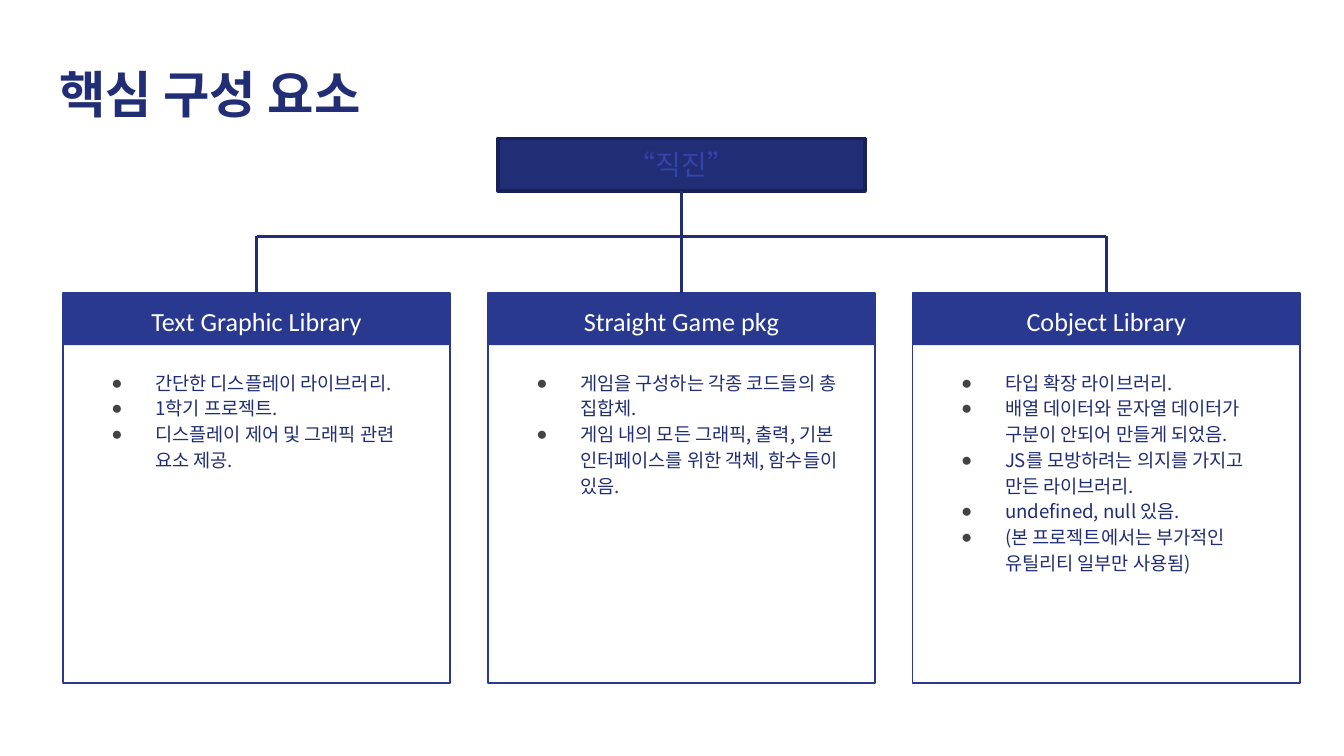
"""Build the slide of a project's three core components as a tree."""
from dataclasses import dataclass

from lxml.etree import SubElement
from pptx import Presentation
from pptx.dml.color import RGBColor
from pptx.enum.shapes import MSO_CONNECTOR, MSO_SHAPE
from pptx.enum.text import MSO_ANCHOR, MSO_AUTO_SIZE, PP_ALIGN
from pptx.oxml import parse_xml
from pptx.oxml.ns import nsdecls, qn
from pptx.shapes.autoshape import Shape
from pptx.shapes.connector import Connector
from pptx.slide import Slide
from pptx.text.text import TextFrame, _Paragraph
from pptx.util import Pt

NAVY = RGBColor(0x21, 0x2D, 0x74)
DARK_NAVY = RGBColor(0x18, 0x21, 0x56)
BLUE = RGBColor(0x2A, 0x39, 0x90)
ROOT_TEXT = RGBColor(0x33, 0x44, 0xAA)
WHITE = RGBColor(0xFF, 0xFF, 0xFF)
BULLET_GRAY = "434343"
KOREAN = "Noto Sans CJK KR"
LATIN = "Calibri"

COLUMN_LEFT, COLUMN_PITCH, COLUMN_WIDTH = 33.8, 227.6, 207.4
COLUMN_TOP, PANEL_HEIGHT, BAR_HEIGHT = 157, 209, 28
LIST_TOP, LIST_WIDTH, LIST_HEIGHT = 190, 195, 170.6
ROOT_TOP, ROOT_WIDTH = 74.2, 196.6
BUS_Y = 126.7
INSET = 7.2


@dataclass(frozen=True)
class Component:
    name: str
    points: tuple[str, ...]
    list_idx: int


COMPONENTS = (
    Component("Text Graphic Library", (
        "간단한 디스플레이 라이브러리.",
        "1학기 프로젝트.",
        "디스플레이 제어 및 그래픽 관련 요소 제공.",
    ), 2),
    Component("Straight Game pkg", (
        "게임을 구성하는 각종 코드들의 총 집합체.",
        "게임 내의 모든 그래픽, 출력, 기본 인터페이스를 위한 객체, 함수들이 있음.",
    ), 3),
    Component("Cobject Library", (
        "타입 확장 라이브러리.",
        "배열 데이터와 문자열 데이터가 구분이 안되어 만들게 되었음.",
        "JS를 모방하려는 의지를 가지고 만든 라이브러리.",
        "undefined, null 있음.",
        "(본 프로젝트에서는 부가적인 유틸리티 일부만 사용됨)",
    ), 4),
)


def place(shape: Shape, left: float, top: float, width: float, height: float) -> None:
    shape.left, shape.top = Pt(left), Pt(top)
    shape.width, shape.height = Pt(width), Pt(height)


def set_frame(frame: TextFrame, anchor: MSO_ANCHOR) -> None:
    frame.word_wrap = True
    frame.auto_size = MSO_AUTO_SIZE.NONE
    frame.vertical_anchor = anchor
    frame.margin_left = frame.margin_right = Pt(INSET)
    frame.margin_top = frame.margin_bottom = Pt(INSET)


def style(paragraph: _Paragraph, size: float, color: RGBColor, face: str,
          align: PP_ALIGN, bold: bool = False, spacing: float = 1.0) -> None:
    paragraph.alignment = align
    paragraph.line_spacing = spacing
    paragraph.space_before = paragraph.space_after = Pt(0)
    font = paragraph.font
    font.size, font.bold, font.name = Pt(size), bold, face
    font.color.rgb = color
    defaults = paragraph._p.pPr.find(qn("a:defRPr"))
    SubElement(defaults, qn("a:ea")).set("typeface", face)


def add_bullet(paragraph: _Paragraph) -> None:
    properties = paragraph._p.pPr
    properties.set("marL", str(Pt(36)))
    properties.set("indent", str(-Pt(23.5)))
    defaults = properties.find(qn("a:defRPr"))
    for xml in (
        f'<a:buClr {nsdecls("a")}><a:srgbClr val="{BULLET_GRAY}"/></a:buClr>',
        f'<a:buChar {nsdecls("a")} char="●"/>',
    ):
        defaults.addprevious(parse_xml(xml))


def add_box(slide: Slide, left: float, top: float, width: float, height: float,
            fill: RGBColor | None = None, line: RGBColor | None = None,
            line_width: float = 0.75) -> Shape:
    box = slide.shapes.add_shape(
        MSO_SHAPE.RECTANGLE, Pt(left), Pt(top), Pt(width), Pt(height))
    box.shadow.inherit = False
    if fill is None:
        box.fill.background()
    else:
        box.fill.solid()
        box.fill.fore_color.rgb = fill
    if line is None:
        box.line.fill.background()
    else:
        box.line.color.rgb = line
        box.line.width = Pt(line_width)
    return box


def add_label(box: Shape, text: str, size: float, color: RGBColor, face: str,
              spacing: float = 1.0) -> None:
    set_frame(box.text_frame, MSO_ANCHOR.MIDDLE)
    label = box.text_frame.paragraphs[0]
    label.text = text
    style(label, size, color, face, PP_ALIGN.CENTER, spacing=spacing)


def add_branch(slide: Slide, x1: float, y1: float, x2: float, y2: float) -> Connector:
    branch = slide.shapes.add_connector(
        MSO_CONNECTOR.STRAIGHT, Pt(x1), Pt(y1), Pt(x2), Pt(y2))
    branch.line.color.rgb = NAVY
    branch.line.width = Pt(1.5)
    SubElement(branch._element.spPr, qn("a:effectLst"))
    return branch


def add_component(slide: Slide, component: Component, left: float) -> Shape:
    add_box(slide, left, COLUMN_TOP, COLUMN_WIDTH, PANEL_HEIGHT, line=BLUE)
    bar = add_box(slide, left, COLUMN_TOP, COLUMN_WIDTH, BAR_HEIGHT, fill=BLUE)
    add_label(bar, component.name, 14, WHITE, LATIN, spacing=1.15)

    points = slide.placeholders[component.list_idx]
    place(points, left + (COLUMN_WIDTH - LIST_WIDTH) / 2, LIST_TOP, LIST_WIDTH, LIST_HEIGHT)
    points.text_frame.text = "\n".join(component.points)
    set_frame(points.text_frame, MSO_ANCHOR.TOP)
    for point in points.text_frame.paragraphs:
        style(point, 10, NAVY, KOREAN, PP_ALIGN.LEFT, spacing=1.15)
        add_bullet(point)
    return bar


def main() -> None:
    deck = Presentation()
    deck.slide_width, deck.slide_height = Pt(720), Pt(405)
    slide = deck.slides.add_slide(deck.slide_layouts.get_by_name("Comparison"))
    unused = slide.placeholders[1]._element
    unused.getparent().remove(unused)

    title = slide.shapes.title
    place(title, 24.5, 26.6, 671, 47.5)
    title.text_frame.text = "핵심 구성 요소"
    set_frame(title.text_frame, MSO_ANCHOR.TOP)
    style(title.text_frame.paragraphs[0], 27, NAVY, KOREAN, PP_ALIGN.LEFT, bold=True)

    lefts = [COLUMN_LEFT + i * COLUMN_PITCH for i in range(len(COMPONENTS))]
    centers = [left + COLUMN_WIDTH / 2 for left in lefts]
    bars = [add_component(slide, component, left)
            for component, left in zip(COMPONENTS, lefts)]

    root = add_box(slide, centers[1] - ROOT_WIDTH / 2, ROOT_TOP, ROOT_WIDTH, BAR_HEIGHT,
                   fill=NAVY, line=DARK_NAVY, line_width=2)
    add_label(root, "“직진”", 15, ROOT_TEXT, KOREAN)

    trunk = add_branch(slide, centers[1], ROOT_TOP + BAR_HEIGHT, centers[1], COLUMN_TOP)
    trunk.begin_connect(root, 2)
    trunk.end_connect(bars[1], 0)
    add_branch(slide, centers[0], BUS_Y, centers[2], BUS_Y)
    for center, bar in ((centers[0], bars[0]), (centers[2], bars[2])):
        drop = add_branch(slide, center, BUS_Y, center, COLUMN_TOP)
        drop.end_connect(bar, 0)

    deck.save("out.pptx")


if __name__ == "__main__":
    main()
